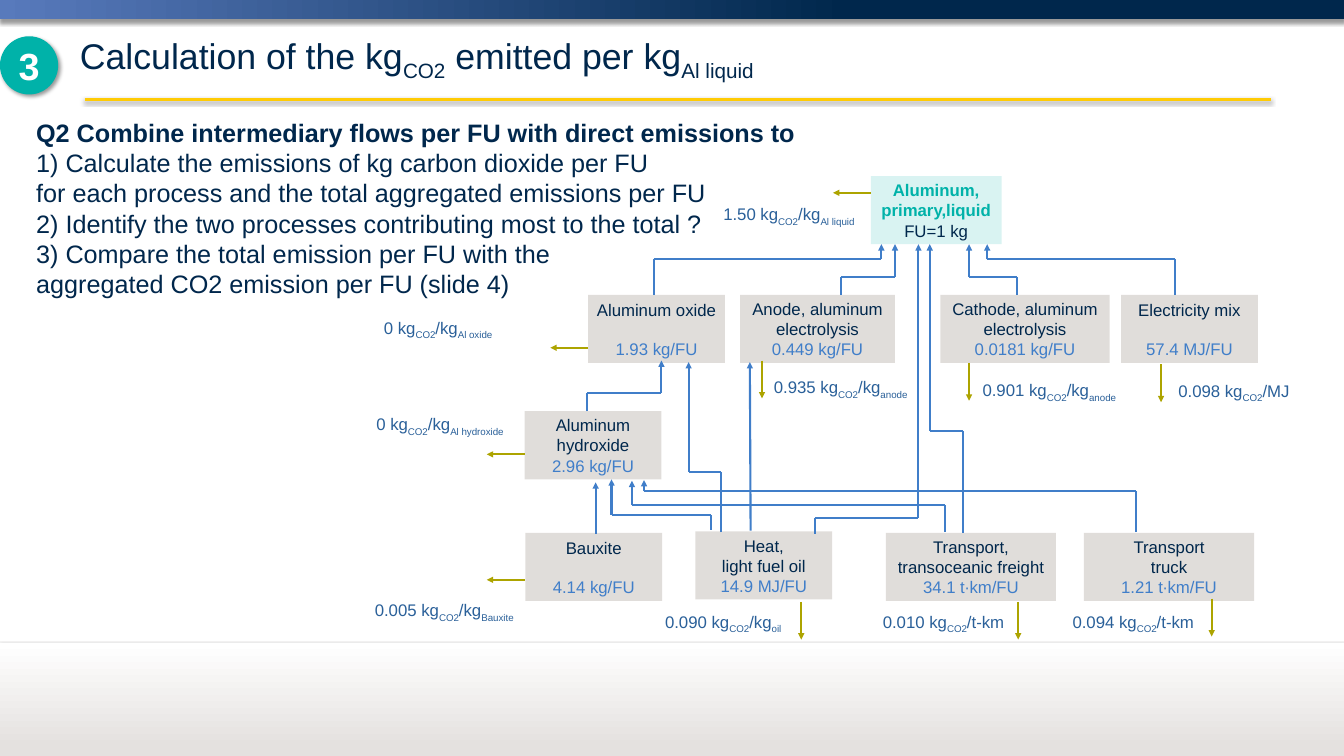
from typing import NamedTuple

from lxml.etree import SubElement
from pptx import Presentation
from pptx.dml.color import RGBColor
from pptx.enum.shapes import MSO_CONNECTOR, MSO_SHAPE
from pptx.enum.text import MSO_ANCHOR, PP_ALIGN
from pptx.oxml.ns import qn
from pptx.util import Cm, Pt

NAVY = RGBColor(0x00, 0x27, 0x4C)
SKY = RGBColor(0x58, 0x7A, 0xBC)
GOLD = RGBColor(0xFF, 0xCB, 0x05)
STONE = RGBColor(0xE4, 0xE1, 0xDF)
GREY = RGBColor(0xB0, 0xA8, 0xA2)
TEAL = RGBColor(0x00, 0xB2, 0xA9)
BLUE = RGBColor(0x40, 0x7E, 0xC9)
STEEL = RGBColor(0x2A, 0x60, 0x99)
OLIVE = RGBColor(0xAD, 0xA4, 0x00)
WHITE = RGBColor(0xFF, 0xFF, 0xFF)

WIDE, HIGH = 17.78, 10
BOX_H, LABEL_H = 0.9, 0.4


class Box(NamedTuple):
    """A process: its name and its flow per functional unit."""
    left: float
    top: float
    width: float
    name: str
    flow: str
    gap: int = 0


class Link(NamedTuple):
    """A flow that runs from one process up to the next."""
    x: float
    y: float
    turn: float
    end_x: float
    end_y: float


class Label(NamedTuple):
    """A direct emission; ~ switches subscript on and off."""
    left: float
    top: float
    width: float
    text: str


BOXES = [
    Box(7.78, 3.9, 1.81, "Aluminum oxide", "1.93 kg/FU", 18),
    Box(9.79, 3.9, 2.05, "Anode, aluminum electrolysis", "0.449 kg/FU"),
    Box(12.44, 3.9, 2.24, "Cathode, aluminum electrolysis", "0.0181 kg/FU"),
    Box(14.83, 3.9, 1.81, "Electricity mix", "57.4 MJ/FU", 18),
    Box(6.94, 5.44, 1.81, "Aluminum hydroxide", "2.96 kg/FU"),
    Box(6.95, 7.05, 1.81, "Bauxite", "4.14 kg/FU", 18),
    Box(9.2, 7.03, 1.81, "Heat,\nlight fuel oil", "14.9 MJ/FU"),
    Box(11.72, 7.05, 2.25, "Transport, transoceanic freight", "34.1 t∙km/FU"),
    Box(14.34, 7.05, 2.25, "Transport\ntruck", "1.21 t∙km/FU"),
]
LINKS = [
    Link(15.54, 3.9, 3.43, 13.06, 3.23),
    Link(13.45, 3.9, 3.66, 12.82, 3.23),
    Link(8.65, 3.9, 3.43, 11.66, 3.23),
    Link(11.13, 3.9, 3.66, 11.84, 3.23),
    Link(12.74, 7.05, 5.7, 12.3, 3.23),
    Link(10.78, 7.06, 6.85, 12.15, 3.23),
    Link(7.77, 5.44, 5.2, 8.75, 4.77),
    Link(9.41, 7.01, 6.81, 8.09, 6.34),
    Link(9.54, 7.04, 6.24, 9.11, 4.79),
    Link(12.5, 7.04, 6.68, 8.36, 6.36),
    Link(15.03, 7.04, 6.5, 8.52, 6.35),
]
RISES = [(7.88, 7.06, 7.88, 6.38), (9.93, 7.02, 9.92, 4.79)]
# Emission arrows: start points of those going down and those going left
DOWN = [(10.6, 7.96), (13.47, 7.96), (16.03, 7.92),
        (15.36, 4.82), (10.08, 4.77), (12.82, 4.8)]
SIDE = [(11.52, 2.55), (7.78, 4.6), (6.94, 6.01), (6.94, 7.67)]
REACH = 0.5
LABELS = [
    Label(9.47, 2.65, 1.94, "1.50 kg~CO2~/kg~Al liquid"),
    Label(4.98, 4.15, 3.93, "0 kg~CO2~/kg~Al oxide"),
    Label(4.88, 5.43, 1.89, "0 kg~CO2~/kg~Al hydroxide"),
    Label(4.86, 7.89, 2.04, "0.005 kg~CO2~/kg~Bauxite"),
    Label(10.14, 4.94, 1.97, "0.935 kg~CO2~/kg~anode"),
    Label(12.9, 4.98, 1.97, "0.901 kg~CO2~/kg~anode"),
    Label(15.49, 4.99, 1.67, "0.098 kg~CO2~/MJ"),
    Label(8.7, 8.04, 1.74, "0.090 kg~CO2~/kg~oil"),
    Label(11.58, 8.04, 1.81, "0.010 kg~CO2~/t-km"),
    Label(14.09, 8.04, 1.81, "0.094 kg~CO2~/t-km"),
]
TASKS = """1) Calculate the emissions of kg carbon dioxide per FU
for each process and the total aggregated emissions per FU
2) Identify the two processes contributing most to the total ?
3) Compare the total emission per FU with the
aggregated CO2 emission per FU (slide 4)"""

deck = Presentation()


def span(*inches: float) -> list[Cm]:
    return [Cm(2.54 * n) for n in inches]


deck.slide_width, deck.slide_height = span(WIDE, HIGH)
page = deck.slides.add_slide(deck.slide_layouts[6])


def write(shape, text: str, *, size=16, color=NAVY, bold=False,
          align=PP_ALIGN.LEFT, gap=0) -> None:
    """Add one paragraph per line of text."""
    frame = shape.text_frame
    for line in text.split("\n"):
        par = frame.paragraphs[0]
        if par.runs:
            par = frame.add_paragraph()
            par.space_before = Pt(gap)
        par.alignment = align
        for i, part in enumerate(line.split("~")):
            if not part:
                continue
            run = par.add_run()
            run.text = part
            font = run.font
            font.name, font.size, font.bold = "Arial", Pt(size), bold
            font.color.rgb = color
            if i % 2:
                run._r.get_or_add_rPr().set("baseline", "-25000")


def fade(item, share: int) -> None:
    tint = next(item._element.spPr.iter(qn("a:srgbClr")))
    SubElement(tint, qn("a:alpha"), val=str(share * 1000))


def shade(item, share: int, blur: float, dist: float, turn=90) -> None:
    props = item._element.spPr
    for old in props.findall(qn("a:effectLst")):
        props.remove(old)
    cast = SubElement(SubElement(props, qn("a:effectLst")), qn("a:outerShdw"),
                      blurRad=str(Pt(blur)), dist=str(Pt(dist)),
                      dir=str(turn * 60000), algn="ctr", rotWithShape="0")
    tint = SubElement(cast, qn("a:srgbClr"), val="000000")
    SubElement(tint, qn("a:alpha"), val=str(share * 1000))


def block(left: float, top: float, width: float, height: float, color=None,
          kind=MSO_SHAPE.RECTANGLE):
    item = page.shapes.add_shape(kind, *span(left, top, width, height))
    item.shadow.inherit = False
    item.line.fill.background()
    if color is not None:
        item.fill.solid()
        item.fill.fore_color.rgb = color
    item.text_frame.word_wrap = True
    item.text_frame.vertical_anchor = MSO_ANCHOR.MIDDLE
    return item


def band(top: float, height: float, stops: list, angle: int):
    item = block(0, top, WIDE, height)
    item.fill.gradient()
    item.fill.gradient_angle = angle
    for stop, (pos, color) in zip(item.fill.gradient_stops, stops):
        stop.position, stop.color.rgb = pos, color
    return item


def stroke(x: float, y: float, end_x: float, end_y: float, color=BLUE,
           weight=2.0, head=False):
    item = page.shapes.add_connector(MSO_CONNECTOR.STRAIGHT,
                                     *span(x, y, end_x, end_y))
    item.line.color.rgb = color
    item.line.width = Pt(weight)
    if head:
        SubElement(item.line._get_or_add_ln(), qn("a:tailEnd"), type="triangle")
    SubElement(item._element.spPr, qn("a:effectLst"))
    return item


def note(left: float, top: float, width: float, height: float, wrap=True):
    item = page.shapes.add_textbox(*span(left, top, width, height))
    item.text_frame.word_wrap = wrap
    return item


# Bands and rules
shade(band(0, 0.25, [(0.37, NAVY), (1, SKY)], 180), 40, 4, 3)
shade(stroke(1.12, 1.32, 16.81, 1.32, GOLD, 3), 38, 3.1, 1.6)
shade(band(8.5, 1.5, [(0.08, STONE), (1, WHITE)], 90), 35, 3.1, 1.8)
rule = stroke(0, 8.49, WIDE, 8.49, STONE, 0.75)
fade(rule, 30)
shade(rule, 38, 3.1, 1.6)

# Title and badge
title = note(0.96, 0.3, 16, 0.95)
title.text_frame.vertical_anchor = MSO_ANCHOR.MIDDLE
write(title, "Calculation of the kg~CO2~ emitted per kg~Al liquid", size=34)
badge = block(0, 0.48, 0.77, 0.77, TEAL, MSO_SHAPE.OVAL)
shade(badge, 40, 4, 3, 45)
write(badge, "3", size=36, color=WHITE, bold=True, align=PP_ALIGN.CENTER)

# Process boxes
for box in BOXES:
    item = block(box.left, box.top, box.width, BOX_H, GREY)
    fade(item, 39)
    write(item, box.name, align=PP_ALIGN.CENTER)
    write(item, box.flow, color=BLUE, align=PP_ALIGN.CENTER, gap=box.gap)
goal = block(11.52, 2.33, 1.73, BOX_H, TEAL)
fade(goal, 15)
write(goal, "Aluminum, primary,liquid", color=TEAL, bold=True,
      align=PP_ALIGN.CENTER)
write(goal, "FU=1 kg", align=PP_ALIGN.CENTER)

# Flows between processes
for x, y, turn, end_x, end_y in LINKS:
    stroke(x, y, x, turn)
    stroke(x, turn, end_x, turn)
    stroke(end_x, turn, end_x, end_y, head=True)
for rise in RISES:
    stroke(*rise, head=True)

# Direct emissions
for x, y in DOWN:
    stroke(x, y, x, y + REACH, OLIVE, head=True)
for x, y in SIDE:
    stroke(x, y, x - REACH, y, OLIVE, head=True)
for left, top, width, text in LABELS:
    write(note(left, top, width, LABEL_H, wrap=False), text, color=STEEL)

# Question
tasks = note(0.38, 1.5, 10.4, 2.5)
write(tasks, "Q2 Combine intermediary flows per FU with direct emissions to",
      size=24, bold=True)
write(tasks, TASKS, size=24)

deck.save("out.pptx")
